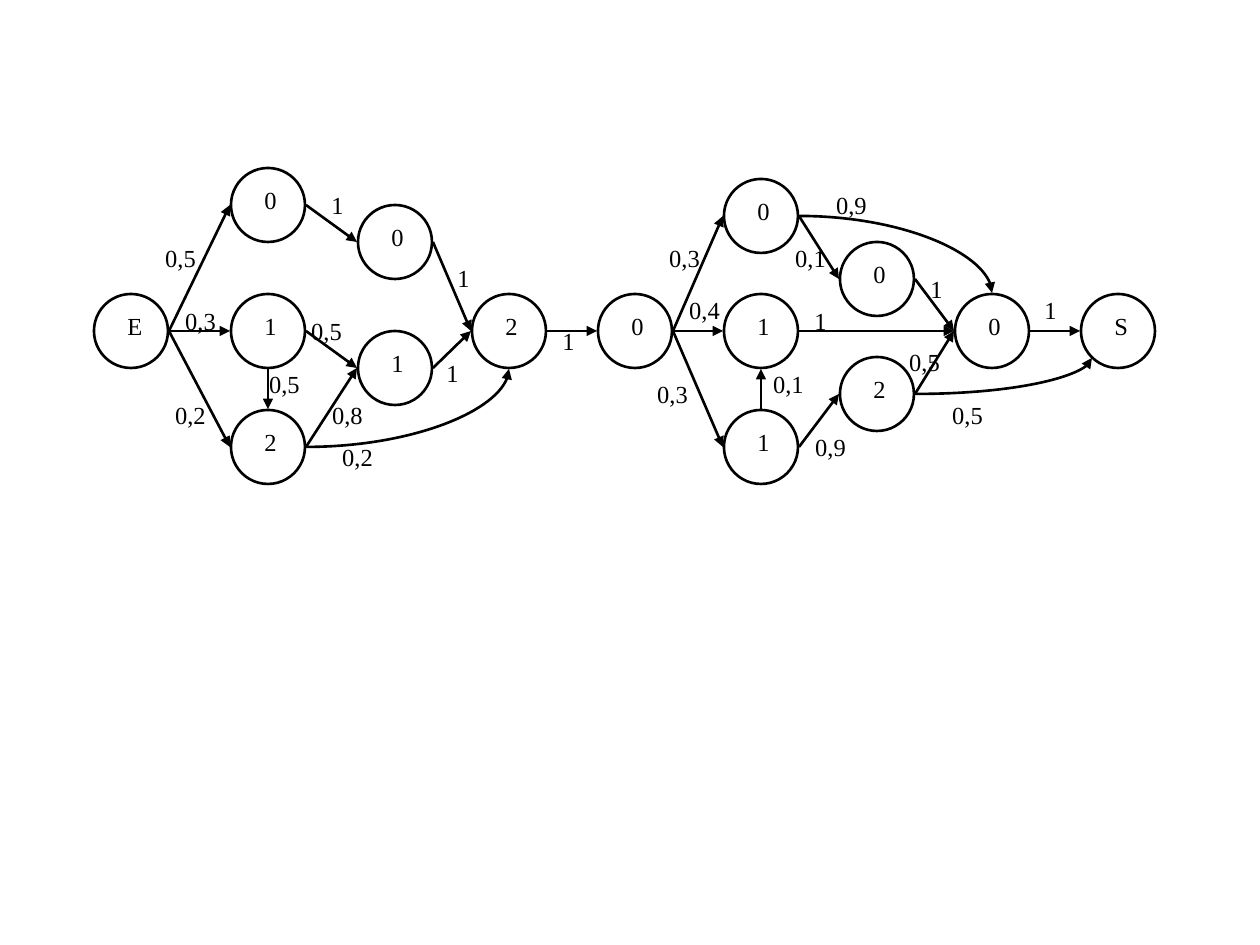
from dataclasses import dataclass

from lxml import etree
from pptx import Presentation
from pptx.dml.color import RGBColor
from pptx.enum.shapes import MSO_CONNECTOR, MSO_SHAPE
from pptx.enum.text import MSO_AUTO_SIZE, PP_ALIGN
from pptx.oxml.ns import qn
from pptx.util import Emu, Pt

STRAIGHT, CURVE = MSO_CONNECTOR.STRAIGHT, MSO_CONNECTOR.CURVE
ELLIPSE = MSO_SHAPE.OVAL
GROW = MSO_AUTO_SIZE.SHAPE_TO_FIT_TEXT
LEFT, CENTER = PP_ALIGN.LEFT, PP_ALIGN.CENTER

PX_PER_INCH = 126
SLIDE_WIDTH, SLIDE_HEIGHT = 1260, 945
DIAMETER, RADIUS = 74, 37
DIAGONAL = 26  # offset of the 45 degree point from a node's centre
GAP = 1  # space between a node and its arrows
TEXT_HEIGHT = 43
NODE_TEXT_WIDTH, LABEL_WIDTH = 42, 63
NODE_TEXT_OFFSET = (21, 11)


@dataclass(frozen=True)
class Theme:
    ink: RGBColor = RGBColor(0, 0, 0)
    font: str = "Times New Roman"
    text_size: float = 14
    line_width: float = 1.5


THEME = Theme()

# State name: (text, left, top)
NODES = {
    "start": ("E", 94, 294),
    "first 2": ("2", 231, 410),
    "second 1": ("1", 358, 331),
    "sum 2": ("2", 472, 294),
    "reset 0": ("0", 598, 294),
    "second 0": ("0", 358, 205),
    "first 1": ("1", 231, 294),
    "first 0": ("0", 231, 168),
    "third low 1": ("1", 724, 410),
    "third 1": ("1", 724, 294),
    "third 0": ("0", 724, 179),
    "fourth 2": ("2", 840, 357),
    "last 0": ("0", 955, 294),
    "end": ("S", 1081, 294),
    "fourth 0": ("0", 840, 242),
}

# From state, to state, probability, label left, label top
STRAIGHT_EDGES = [
    ("start", "first 1", "0,3", 169, 300),
    ("start", "first 0", "0,5", 149, 237),
    ("start", "first 2", "0,2", 159, 394),
    ("first 0", "second 0", "1", 306, 184),
    ("first 1", "second 1", "0,5", 295, 310),
    ("first 2", "second 1", "0,8", 316, 394),
    ("second 0", "sum 2", "1", 432, 257),
    ("second 1", "sum 2", "1", 421, 352),
    ("sum 2", "reset 0", "1", 537, 320),
    ("reset 0", "third 1", "0,4", 673, 289),
    ("reset 0", "third 0", "0,3", 653, 237),
    ("reset 0", "third low 1", "0,3", 641, 373),
    ("third low 1", "fourth 2", "0,9", 799, 426),
    ("third 0", "fourth 0", "0,1", 779, 237),
    ("fourth 2", "last 0", "0,5", 893, 341),
    ("third 1", "last 0", "1", 789, 300),
    ("last 0", "end", "1", 1019, 289),
    ("fourth 0", "last 0", "1", 905, 268),
]

# As above, with the sides that the arrow leaves and reaches
VERTICAL_EDGES = [
    ("first 1", "first 2", "0,5", 253, 363, "bottom", "top"),
    ("third low 1", "third 1", "0,1", 757, 363, "top", "bottom"),
]
CURVED_EDGES = [
    ("first 2", "sum 2", "0,2", 326, 436, "right", "bottom"),
    ("third 0", "last 0", "0,9", 820, 184, "right", "top"),
    ("fourth 2", "end", "0,5", 936, 394, "right", "lower left"),
]

SIDES = {
    "left": (-RADIUS - GAP, 0),
    "right": (RADIUS + GAP, 0),
    "top": (0, -RADIUS - GAP),
    "bottom": (0, RADIUS + GAP),
    "lower left": (-DIAGONAL, DIAGONAL + GAP),
}


def px(*lengths):
    return [Emu(round(length * 914400 / PX_PER_INCH)) for length in lengths]


def side_point(name, side):
    _, left, top = NODES[name]
    across, down = SIDES[side]
    return left + RADIUS + across, top + RADIUS + down


def format_line(line):
    line.color.rgb = THEME.ink
    line.width = Pt(THEME.line_width)


def add_text(slide, text, left, top, width, alignment):
    box = slide.shapes.add_textbox(*px(left, top, width, TEXT_HEIGHT))
    frame = box.text_frame
    frame.word_wrap = True
    frame.auto_size = GROW
    paragraph = frame.paragraphs[0]
    paragraph.alignment = alignment
    run = paragraph.add_run()
    run.text = text
    run.font.name = THEME.font
    run.font.size = Pt(THEME.text_size)
    run.font.color.rgb = THEME.ink


def add_node(slide, text, left, top):
    across, down = NODE_TEXT_OFFSET
    add_text(slide, text, left + across, top + down, NODE_TEXT_WIDTH, LEFT)
    circle = slide.shapes.add_shape(ELLIPSE, *px(left, top, DIAMETER, DIAMETER))
    circle.shadow.inherit = False
    circle.fill.background()
    format_line(circle.line)


def add_arrow(slide, start, end, kind):
    arrow = slide.shapes.add_connector(kind, *px(*start, *end))
    format_line(arrow.line)
    properties = arrow._element.spPr
    line = properties.find(qn("a:ln"))
    etree.SubElement(line, qn("a:tailEnd"), type="triangle")
    etree.SubElement(properties, qn("a:effectLst"))
    if kind == CURVE:
        # A single quarter bend instead of the default S-shaped one
        properties.find(qn("a:prstGeom")).set("prst", "curvedConnector2")


def add_edge(slide, source, target, probability, left, top,
             leaving="right", reaching="left", kind=STRAIGHT):
    add_arrow(slide, side_point(source, leaving), side_point(target, reaching), kind)
    add_text(slide, probability, left, top, LABEL_WIDTH, CENTER)


def main():
    presentation = Presentation()
    presentation.slide_width, presentation.slide_height = px(SLIDE_WIDTH, SLIDE_HEIGHT)
    slide = presentation.slides.add_slide(presentation.slide_layouts[6])

    # States
    for node in NODES.values():
        add_node(slide, *node)

    # Transitions with their probabilities
    for edge in STRAIGHT_EDGES + VERTICAL_EDGES:
        add_edge(slide, *edge)
    for edge in CURVED_EDGES:
        add_edge(slide, *edge, kind=CURVE)

    presentation.save("out.pptx")


if __name__ == "__main__":
    main()
